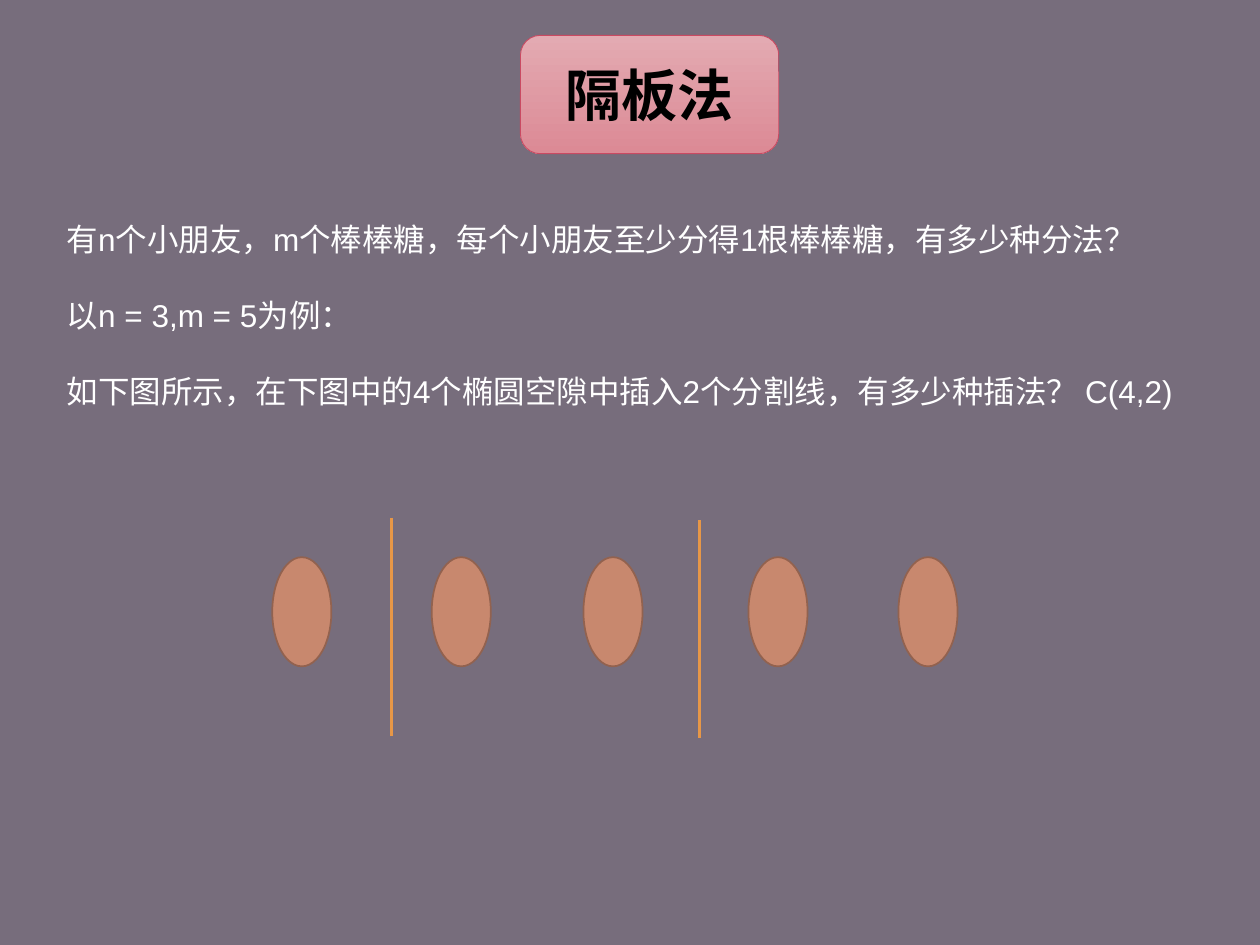
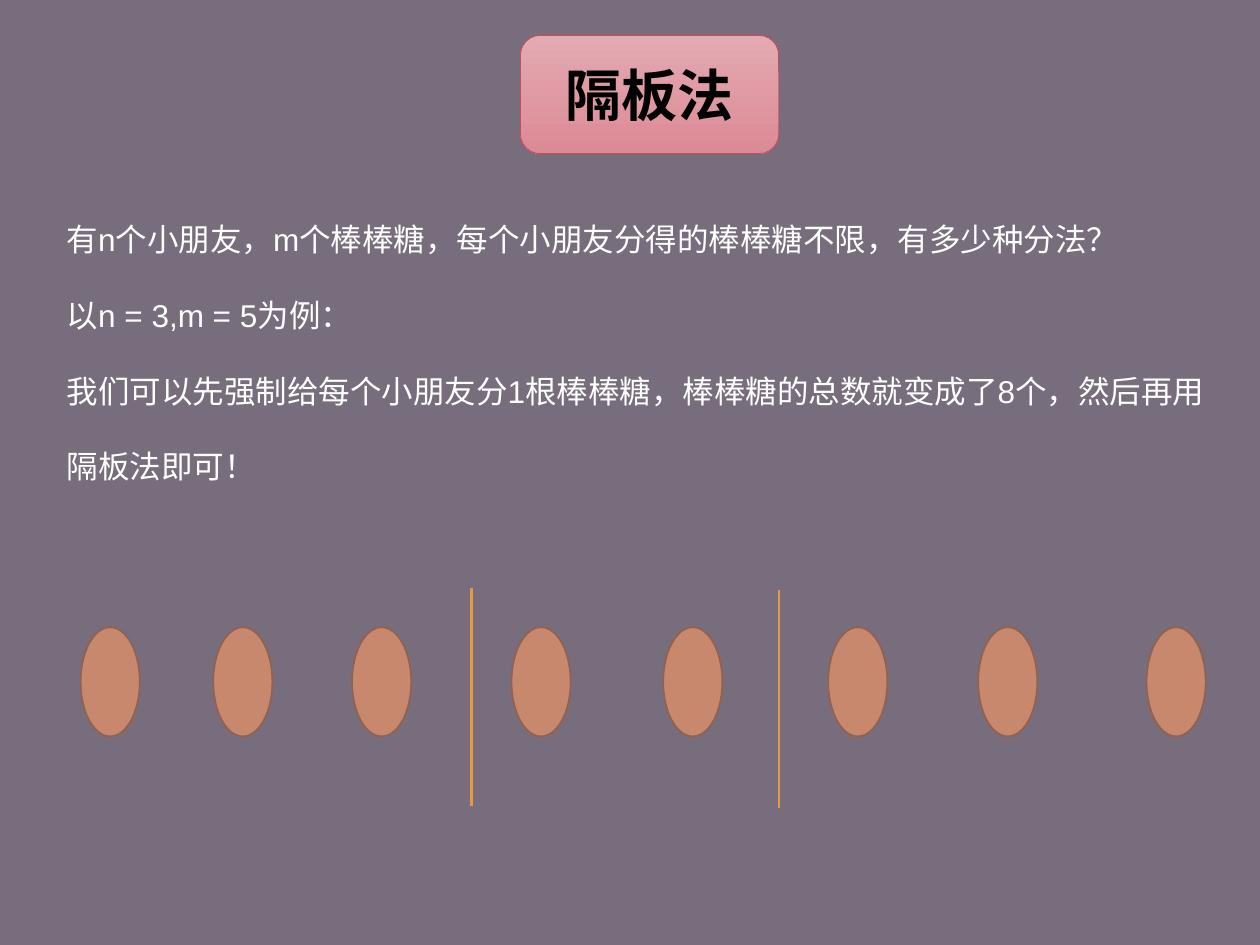
from lxml import etree
from pptx import Presentation
from pptx.dml.color import RGBColor
from pptx.enum.shapes import MSO_CONNECTOR as Link, MSO_SHAPE as Form
from pptx.enum.text import MSO_ANCHOR as Anchor, MSO_AUTO_SIZE as Auto, PP_ALIGN as Align
from pptx.oxml.ns import qn
from pptx.util import Pt


def tint(code):
    return RGBColor.from_string(code)


class Deck:
    """Holds the shared style and draws on the current slide."""

    FONT = "Arial"
    BACK, INK, DARK = "776D7C", "FFFFFF", "000000"
    PILL, RIM = ("E3AAB2", "DC8A95"), "CA4A62"
    SWEET, EDGE, BAR = "C8886E", "92624F", "E79747"
    HEAD = (297.4, 20.2, 147.6, 67.6)

    def __init__(self):
        self.prs = Presentation()
        self.prs.slide_width, self.prs.slide_height = Pt(720), Pt(540)
        back = self.prs.slide_master.background.fill
        back.solid()
        back.fore_color.rgb = tint(self.BACK)

    def page(self, title):
        self.slide = self.prs.slides.add_slide(self.prs.slide_layouts[5])
        pill = self.shape(Form.ROUNDED_RECTANGLE, self.HEAD, self.RIM, 0.5)
        pill.fill.gradient()
        pill.fill.gradient_angle = 270
        for stop, code in zip(pill.fill.gradient_stops, self.PILL):
            stop.color.rgb = tint(code)
        head = self.slide.shapes.title
        head.element.addprevious(pill.element)
        head.left, head.top, head.width, head.height = map(Pt, self.HEAD)
        frame = head.text_frame
        frame.text = title
        frame.auto_size = Auto.NONE
        frame.vertical_anchor = Anchor.MIDDLE
        frame.paragraphs[0].alignment = Align.CENTER
        self.style(frame.paragraphs[0], 32, self.DARK, True)

    def style(self, para, size, code, bold=False):
        for run in para.runs:
            font = run.font
            font.name, font.size, font.bold = self.FONT, Pt(size), bold
            font.color.rgb = tint(code)

    def shape(self, form, box, edge, width):
        item = self.slide.shapes.add_shape(form, *map(Pt, box))
        item.shadow.inherit = False
        item.line.color.rgb = tint(edge)
        item.line.width = Pt(width)
        return item

    def body(self, lines, height):
        box = self.slide.shapes.add_textbox(*map(Pt, (31, 122.4, 668.9, height)))
        frame = box.text_frame
        frame.word_wrap = True
        frame.auto_size = Auto.SHAPE_TO_FIT_TEXT
        frame.text = "\n".join(lines)
        for num, para in enumerate(frame.paragraphs):
            if num:
                para.space_before = Pt(21.6)
            self.style(para, 18, self.INK)

    def sweet(self, left, top):
        item = self.shape(Form.OVAL, (left, top, 33.8, 62.4), self.EDGE, 1)
        item.fill.solid()
        item.fill.fore_color.rgb = tint(self.SWEET)

    def bar(self, left, top):
        ends = map(Pt, (left, top, left, top + 124.6))
        line = self.slide.shapes.add_connector(Link.STRAIGHT, *ends)
        line.line.color.rgb = tint(self.BAR)
        line.line.width = Pt(1.5)
        etree.SubElement(line.element.spPr, qn("a:effectLst"))

    def row(self, sweets, bars, top):
        for left in sweets:
            self.sweet(left, top)
        for num, left in enumerate(bars):
            self.bar(left, top - 22.6 + 1.4 * num)


def main():
    deck = Deck()
    title, case = "隔板法", "以n = 3,m = 5为例："
    sweets, bars = (155.6, 246.7, 333.4, 427.7, 513.4), (223.9, 399.6)
    shift = 45.6

    deck.page(title)
    deck.body([
        "有n个小朋友，m个棒棒糖，每个小朋友至少分得1根棒棒糖，有多少种分法？",
        case,
        "如下图所示，在下图中的4个椭圆空隙中插入2个分割线，有多少种插法？ C(4,2)",
    ], 115.2)
    deck.row(sweets, bars, 318.4)

    deck.page(title)
    deck.body([
        "有n个小朋友，m个棒棒糖，每个小朋友分得的棒棒糖不限，有多少种分法？",
        case,
        "我们可以先强制给每个小朋友分1根棒棒糖，棒棒糖的总数就变成了8个，然后再用",
        "隔板法即可！",
    ], 201.6)
    moved = [left + shift for left in sweets]
    deck.row([46.1, 121.9, *moved, 655.2], [left + shift for left in bars], 358.4)

    deck.prs.save("out.pptx")


if __name__ == "__main__":
    main()
